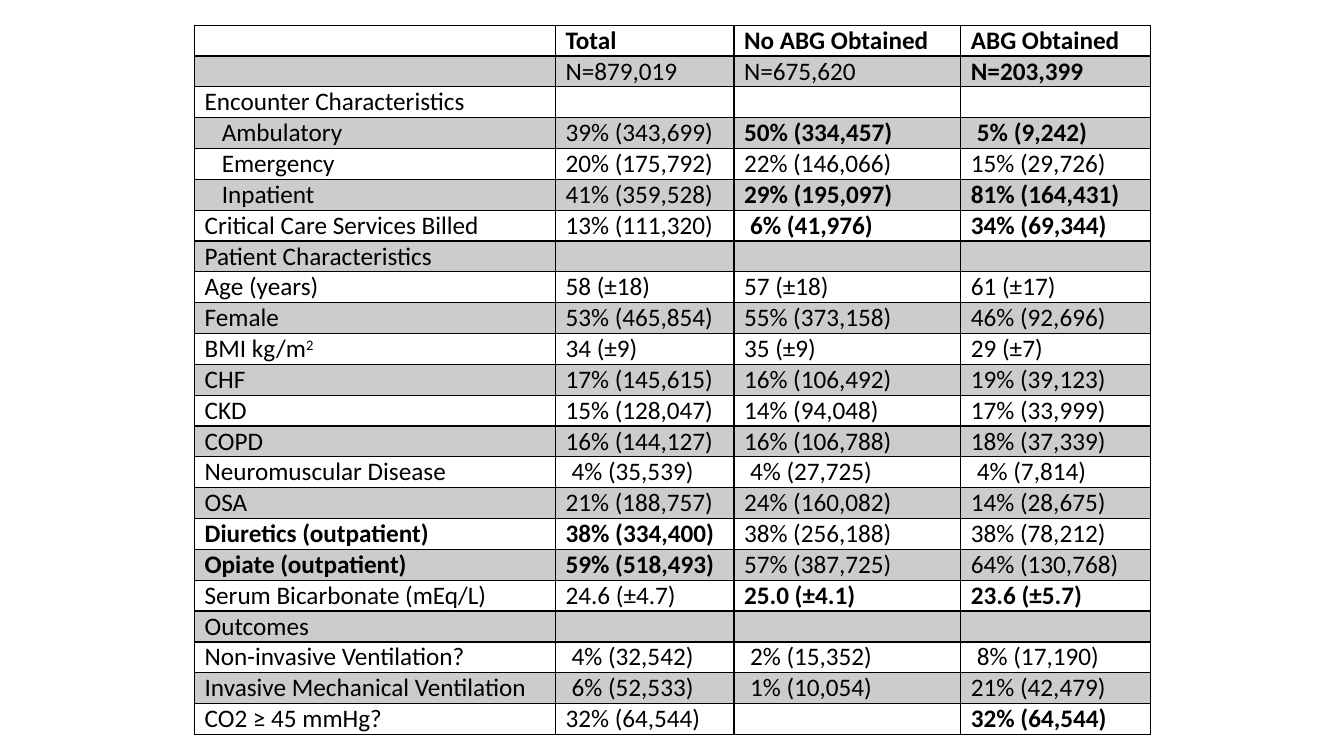
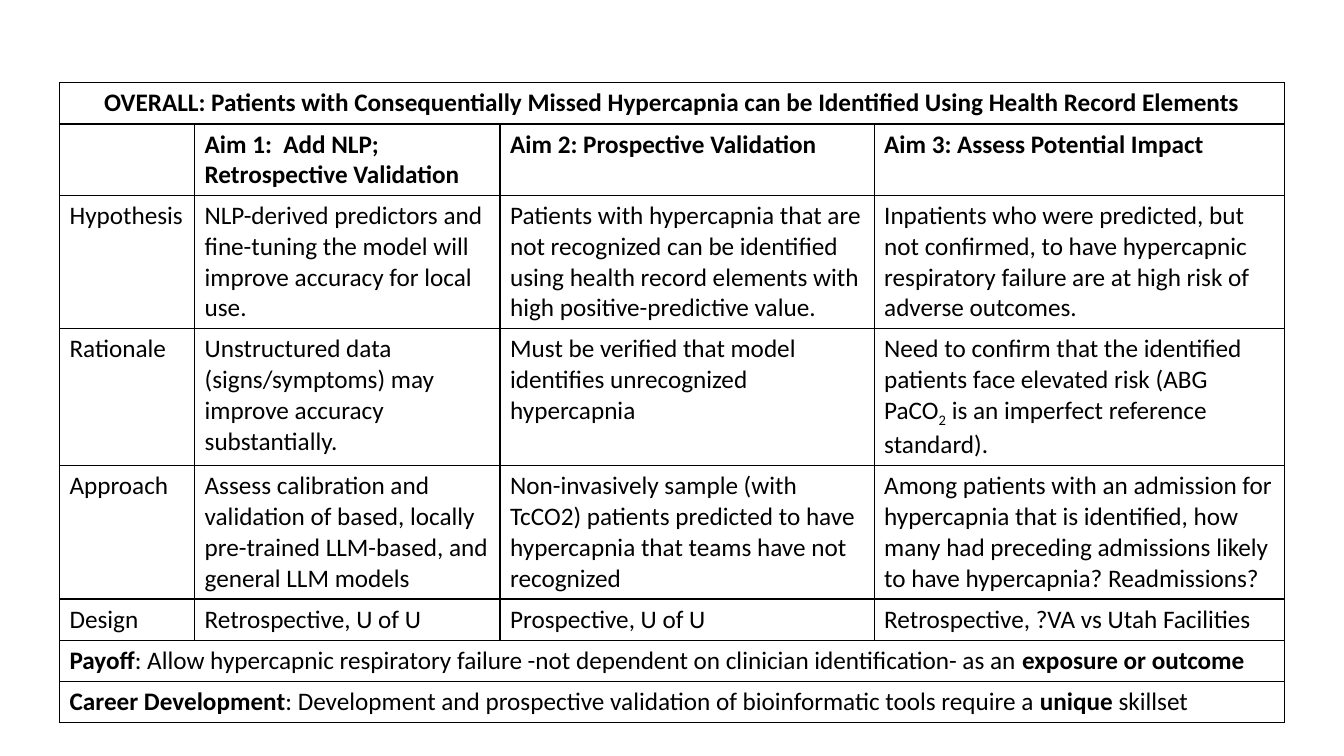
from lxml import etree
from pptx import Presentation
from pptx import util as u
from pptx.dml.color import RGBColor
from pptx.enum import text
from pptx.oxml.ns import qn

# Shared look
FONT, SIZE = "Calibri", 18
BLACK, SHADE = "000000", "CCCCCC"
THIN, THICK = 1, 2
SIDE = 0.1
SUB_INDENT, DIGIT_INDENT = 0.17, 0.06

# Content: *bold*, ^superscript^, ~subscript~
COHORT = [
    ("", "*Total*", "*No ABG Obtained*", "*ABG Obtained*"),
    ("", "N=879,019", "N=675,620", "*N=203,399*"),
    ("Encounter Characteristics", "", "", ""),
    ("Ambulatory", "39% (343,699)", "*50% (334,457)*", "*5% (9,242)*"),
    ("Emergency", "20% (175,792)", "22% (146,066)", "15% (29,726)"),
    ("Inpatient", "41% (359,528)", "*29% (195,097)*", "*81% (164,431)*"),
    ("Critical Care Services Billed", "13% (111,320)", "*6% (41,976)*", "*34% (69,344)*"),
    ("Patient Characteristics", "", "", ""),
    ("Age (years)", "58 (±18)", "57 (±18)", "61 (±17)"),
    ("Female", "53% (465,854)", "55% (373,158)", "46% (92,696)"),
    ("BMI kg/m^2^", "34 (±9)", "35 (±9)", "29 (±7)"),
    ("CHF", "17% (145,615)", "16% (106,492)", "19% (39,123)"),
    ("CKD", "15% (128,047)", "14% (94,048)", "17% (33,999)"),
    ("COPD", "16% (144,127)", "16% (106,788)", "18% (37,339)"),
    ("Neuromuscular Disease", "4% (35,539)", "4% (27,725)", "4% (7,814)"),
    ("OSA", "21% (188,757)", "24% (160,082)", "14% (28,675)"),
    ("*Diuretics (outpatient)*", "*38% (334,400)*", "38% (256,188)", "38% (78,212)"),
    ("*Opiate (outpatient)*", "*59% (518,493)*", "57% (387,725)", "64% (130,768)"),
    ("Serum Bicarbonate (mEq/L)", "24.6 (±4.7)", "*25.0 (±4.1)*", "*23.6 (±5.7)*"),
    ("Outcomes", "", "", ""),
    ("Non-invasive Ventilation?", "4% (32,542)", "2% (15,352)", "8% (17,190)"),
    ("Invasive Mechanical Ventilation", "6% (52,533)", "1% (10,054)", "21% (42,479)"),
    ("CO2 ≥ 45 mmHg?", "32% (64,544)", "", "*32% (64,544)*"),
]
SUB_ROWS = {"Ambulatory", "Emergency", "Inpatient"}

# A row with one entry spans the whole table
AIMS = [
    ("*OVERALL: Patients with Consequentially Missed Hypercapnia can be Identified "
     "Using Health Record Elements*",),
    ("", "*Aim 1:  Add NLP; Retrospective Validation*", "*Aim 2: Prospective Validation*",
     "*Aim 3: Assess Potential Impact*"),
    ("Hypothesis",
     "NLP-derived predictors and fine-tuning the model will improve accuracy for local use.",
     "Patients with hypercapnia that are not recognized can be identified using health "
     "record elements with high positive-predictive value.",
     "Inpatients who were predicted, but not confirmed, to have hypercapnic respiratory "
     "failure are at high risk of adverse outcomes."),
    ("Rationale",
     "Unstructured data (signs/symptoms) may improve accuracy substantially.",
     "Must be verified that model identifies unrecognized hypercapnia",
     "Need to confirm that the identified patients face elevated risk (ABG PaCO~2~ is an "
     "imperfect reference standard)."),
    ("Approach",
     "Assess calibration and validation of based, locally pre-trained LLM-based, and "
     "general LLM models",
     "Non-invasively sample (with TcCO2) patients predicted to have hypercapnia that teams "
     "have not recognized",
     "Among patients with an admission for hypercapnia that is identified, how many had "
     "preceding admissions likely to have hypercapnia? Readmissions?"),
    ("Design", "Retrospective, U of U", "Prospective, U of U",
     "Retrospective, ?VA vs Utah Facilities"),
    ("*Payoff*: Allow hypercapnic respiratory failure -not dependent on clinician "
     "identification- as an *exposure or outcome*",),
    ("*Career Development*: Development and prospective validation of bioinformatic tools "
     "require a *unique* skillset",),
]
AIM_HEIGHTS = [0.41, 0.71, 1.32, 1.36, 1.32, 0.41, 0.41, 0.41]


def rgb(value):
    return RGBColor.from_string(value)


def split_runs(marked):
    """Yield (text, active marks) for each stretch of marked text."""
    active, part = set(), ""
    for ch in marked:
        if ch in "*^~":
            if part:
                yield part, set(active)
            active ^= {ch}
            part = ""
        else:
            part += ch
    if part:
        yield part, active


def write(cell, marked):
    p = cell.text_frame.paragraphs[0]
    p.font.size, p.font.name = u.Pt(SIZE), FONT
    for part, marks in split_runs(marked):
        r = p.add_run()
        r.text = part
        r.font.size, r.font.name = u.Pt(SIZE), FONT
        r.font.bold = "*" in marks
        r.font.color.rgb = rgb(BLACK)
        if "^" in marks:
            r.font._element.set("baseline", "30000")
        elif "~" in marks:
            r.font._element.set("baseline", "-25000")


def border(cell, **widths):
    tcPr = cell._tc.get_or_add_tcPr()
    for side in "LRTB":
        ln = etree.SubElement(tcPr, qn("a:ln" + side), w=str(u.Pt(widths.get(side, THIN))))
        fill = etree.SubElement(ln, qn("a:solidFill"))
        etree.SubElement(fill, qn("a:srgbClr"), val=BLACK)


def add_grid(slide, left, top, widths, heights, rows, pad):
    """Add a plain black-ruled table and return it."""
    frame = slide.shapes.add_table(len(rows), len(widths), u.Inches(left), u.Inches(top),
                                   u.Inches(sum(widths)), u.Inches(sum(heights)))
    table = frame.table
    table.first_row = table.horz_banding = False
    for col, width in zip(table.columns, widths):
        col.width = u.Inches(width)
    for i, (row, height, values) in enumerate(zip(table.rows, heights, rows)):
        row.height = u.Inches(height)
        if len(values) == 1:
            table.cell(i, 0).merge(table.cell(i, len(widths) - 1))
        for cell in row.cells:
            cell.margin_left = cell.margin_right = u.Inches(SIDE)
            cell.margin_top = cell.margin_bottom = u.Inches(pad)
        for cell, value in zip(row.cells, values):
            write(cell, value)
    return table


def cohort_slide(prs):
    slide = prs.slides.add_slide(prs.slide_layouts[6])
    table = add_grid(slide, 1.93, 0.25, [3.58, 1.77, 2.25, 1.88],
                     [7.04 / len(COHORT)] * len(COHORT), COHORT, 0)
    for i, row in enumerate(table.rows):
        for cell in row.cells:
            # Heavy rule under the header, shading on every second row
            border(cell, B=THIN if i else THICK, T=THICK if i == 1 else THIN)
            if i % 2:
                cell.fill.solid()
                cell.fill.fore_color.rgb = rgb(SHADE)
            else:
                cell.fill.background()
            # Sub-rows step in; one-digit percentages line up with two-digit ones
            if cell.text in SUB_ROWS:
                cell.margin_left = u.Inches(SIDE + SUB_INDENT)
            elif cell.text[1:2] == "%":
                cell.margin_left = u.Inches(SIDE + DIGIT_INDENT)


def aims_slide(prs):
    slide = prs.slides.add_slide(prs.slide_layouts[6])
    table = add_grid(slide, 0.59, 0.82, [1.34, 3.03, 3.71, 4.07], AIM_HEIGHTS, AIMS, 0.05)
    for cell in table.iter_cells():
        border(cell)
        cell.fill.background()
    table.cell(0, 0).text_frame.paragraphs[0].alignment = text.PP_ALIGN.CENTER


def main():
    prs = Presentation()
    prs.slide_width, prs.slide_height = u.Inches(13.33), u.Inches(7.5)
    cohort_slide(prs)
    aims_slide(prs)
    prs.save("out.pptx")


if __name__ == "__main__":
    main()
